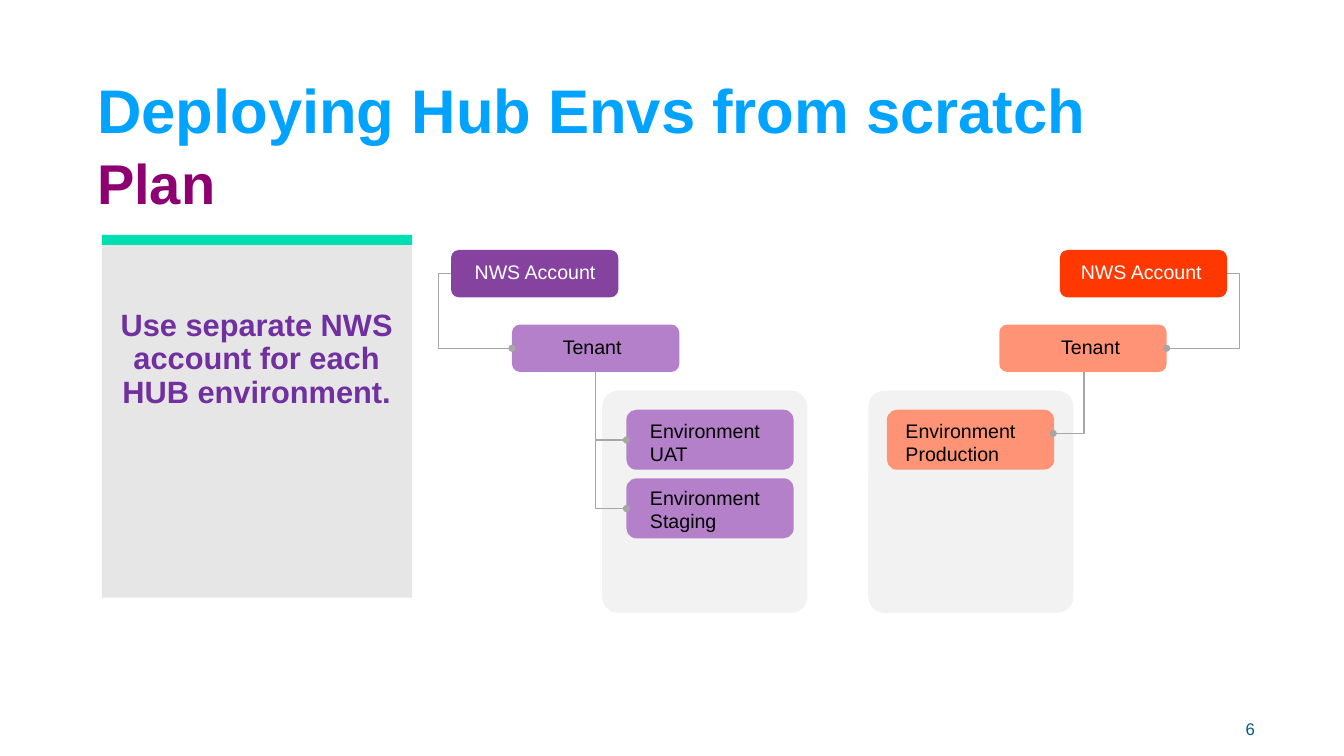
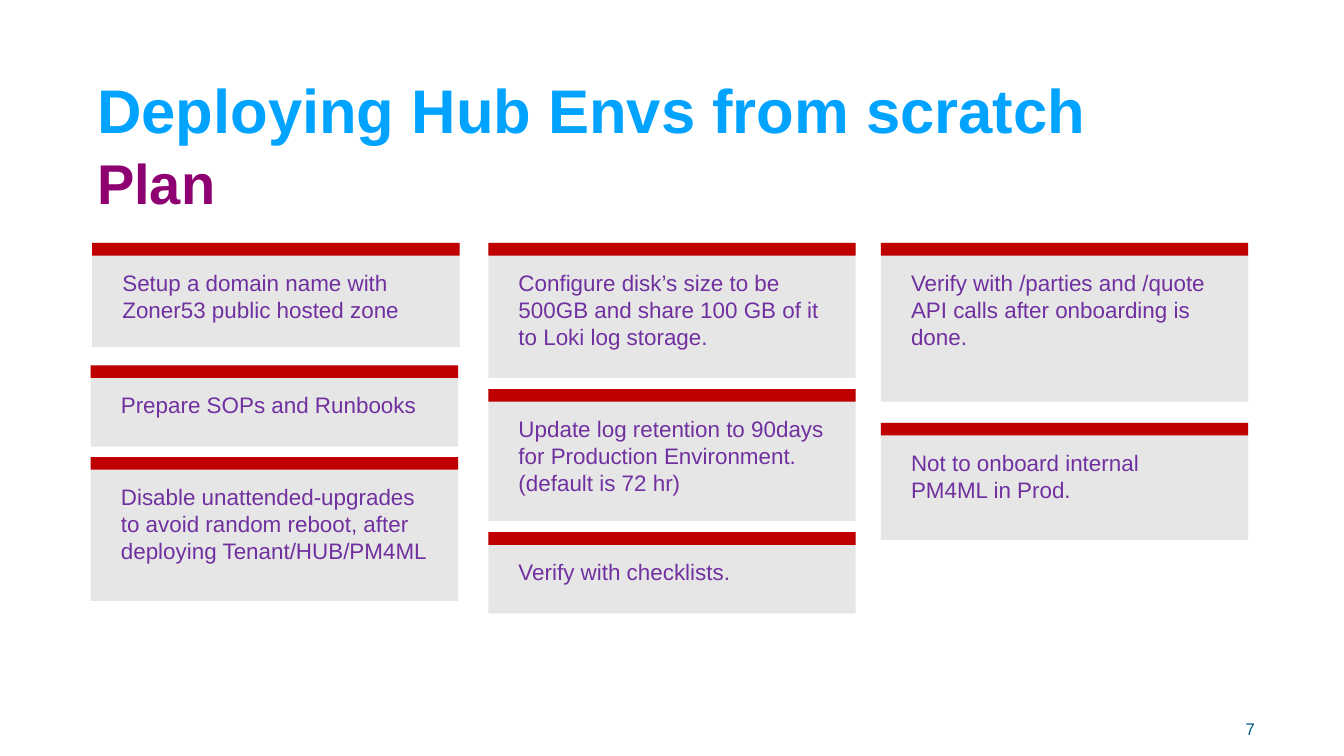
from dataclasses import dataclass
from lxml.etree import SubElement
from pptx import Presentation
from pptx.dml.color import RGBColor
from pptx.enum.shapes import MSO_CONNECTOR as Connector, MSO_SHAPE as Geometry
from pptx.enum.text import MSO_ANCHOR as Anchor, PP_ALIGN as Align
from pptx.oxml.ns import qn
from pptx.util import Inches, Pt


@dataclass(frozen=True)
class Theme:
    font: str = "Arial"
    title: str = "00A3FF"
    subtitle: str = "8E0072"
    number: str = "005A83"
    body: str = "7030A0"
    black: str = "000000"
    white: str = "FFFFFF"
    card: str = "E7E6E6"
    group: str = "F2F2F2"
    green_band: str = "00DFB1"
    red_band: str = "C00000"
    purple: str = "85429F"
    light_purple: str = "B580CA"
    orange: str = "FF3700"
    light_orange: str = "FF9375"
    line: str = "A6A6A6"
    title_size: int = 88
    subtitle_size: int = 80
    lead_size: int = 44
    card_size: int = 32
    label_size: int = 28
    number_size: int = 24


theme = Theme()


def add_text(slide, text, box, size, color, bold=False, align=Align.LEFT,
             anchor=Anchor.TOP, spacing=1.0):
    shape = slide.shapes.add_textbox(*map(Inches, box))
    frame = shape.text_frame
    frame.word_wrap = True
    frame.vertical_anchor = anchor
    frame.text = text
    for paragraph in frame.paragraphs:
        paragraph.alignment = align
        paragraph.line_spacing = spacing
        paragraph.font.name = theme.font
        paragraph.font.size = Pt(size)
        paragraph.font.bold = bold
        paragraph.font.color.rgb = RGBColor.from_string(color)


def add_block(slide, box, color, geometry=Geometry.RECTANGLE):
    shape = slide.shapes.add_shape(geometry, *map(Inches, box))
    shape.shadow.inherit = False
    shape.fill.solid()
    shape.fill.fore_color.rgb = RGBColor.from_string(color)
    shape.line.fill.background()
    return shape


presentation = Presentation()
presentation.slide_width = Inches(26.67)
presentation.slide_height = Inches(15)

slides = []
for number in (6, 7):
    slide = presentation.slides.add_slide(presentation.slide_layouts[6])
    add_text(slide, "Deploying Hub Envs from scratch", (1.83, 0.8, 20.64, 2.9),
             theme.title_size, theme.title, bold=True, anchor=Anchor.MIDDLE, spacing=0.9)
    add_text(slide, "Plan", (1.83, 2.9, 2.7, 1.45),
             theme.subtitle_size, theme.subtitle, bold=True)
    add_text(slide, str(number), (19, 14.07, 6, 0.8), theme.number_size, theme.number,
             align=Align.RIGHT, anchor=Anchor.MIDDLE)
    slides.append(slide)
accounts_slide, tasks_slide = slides

add_block(accounts_slide, (2.02, 4.66, 6.16, 7.2), theme.card)
add_block(accounts_slide, (2.02, 4.66, 6.16, 0.2), theme.green_band)
add_text(accounts_slide, "Use separate NWS account for each HUB environment.",
         (2.24, 6.1, 5.71, 2.41), theme.lead_size, theme.body, bold=True,
         align=Align.CENTER, spacing=0.9)

for left in (11.95, 17.23):
    group = add_block(accounts_slide, (left, 7.75, 4.07, 4.41), theme.group,
                      Geometry.ROUNDED_RECTANGLE)
    group.adjustments[0] = 0.079

node_width, node_height, environment_height = 3.32, 0.94, 1.19
nodes = [
    (8.95, 4.96, node_height, theme.purple),
    (10.16, 6.44, node_height, theme.light_purple),
    (12.43, 8.13, environment_height, theme.light_purple),
    (12.43, 9.49, environment_height, theme.light_purple),
    (21.03, 4.96, node_height, theme.orange),
    (19.83, 6.44, node_height, theme.light_orange),
    (17.6, 8.13, environment_height, theme.light_orange),
]
for left, top, height, color in nodes:
    add_block(accounts_slide, (left, top, node_width, height), color,
              Geometry.ROUNDED_RECTANGLE)

links = [
    (8.95, 5.43, 10.16, 6.91, -20800),
    (11.82, 7.38, 12.43, 8.73, 0),
    (11.82, 7.38, 12.43, 10.09, 0),
    (24.35, 5.43, 23.15, 6.91, -20800),
    (21.51, 7.38, 20.9, 8.6, 0),
]
for *ends, bend in links:
    connector = accounts_slide.shapes.add_connector(Connector.ELBOW, *map(Inches, ends))
    connector.line.color.rgb = RGBColor.from_string(theme.line)
    connector.line.width = Pt(2)
    properties = connector.element.spPr
    SubElement(properties.find(qn("a:ln")), qn("a:tailEnd"), type="oval", w="lg", len="lg")
    SubElement(properties, qn("a:effectLst"))
    adjustments = properties.find(qn("a:prstGeom")).find(qn("a:avLst"))
    SubElement(adjustments, qn("a:gd"), name="adj1", fmla=f"val {bend}")

labels = [
    ("NWS Account", 9.32, 5.11, 2.85, 0.57, theme.white),
    ("NWS Account", 21.35, 5.11, 2.85, 0.57, theme.white),
    ("Tenant", 11.07, 6.59, 1.67, 0.57, theme.black),
    ("Tenant", 20.96, 6.59, 1.67, 0.57, theme.black),
    ("Environment\nUAT", 12.8, 8.26, 2.79, 1.04, theme.black),
    ("Environment\nStaging", 12.8, 9.59, 2.79, 1.04, theme.black),
    ("Environment\nProduction", 17.87, 8.26, 2.79, 1.04, theme.black),
]
for text, *box, color in labels:
    add_text(accounts_slide, text, box, theme.label_size, color)

card_width, band_height, text_indent, text_drop = 7.29, 0.25, 0.5, 0.47
cards = [
    ("Setup a domain name with Zoner53 public hosted zone", 1.83, 4.82, 2.07),
    ("Prepare SOPs and Runbooks", 1.8, 7.25, 1.61),
    ("Disable unattended-upgrades to avoid random reboot, after deploying "
     "Tenant/HUB/PM4ML", 1.8, 9.07, 2.85),
    ("Configure disk’s size to be 500GB and share 100 GB of it to Loki log storage.",
     9.69, 4.82, 2.68),
    ("Update log retention to 90days for Production Environment. (default is 72 hr)",
     9.69, 7.72, 2.62),
    ("Verify with checklists.", 9.69, 10.56, 1.61),
    ("Verify with /parties and /quote API calls after onboarding is done.",
     17.48, 4.82, 3.15),
    ("Not to onboard internal PM4ML in Prod.", 17.48, 8.39, 2.32),
]
for text, left, top, height in cards:
    add_block(tasks_slide, (left, top, card_width, height), theme.card)
    add_text(tasks_slide, text,
             (left + text_indent, top + text_drop, card_width - 2 * text_indent, height - 0.75),
             theme.card_size, theme.body)
    add_block(tasks_slide, (left, top, card_width, band_height), theme.red_band)

presentation.save("out.pptx")
